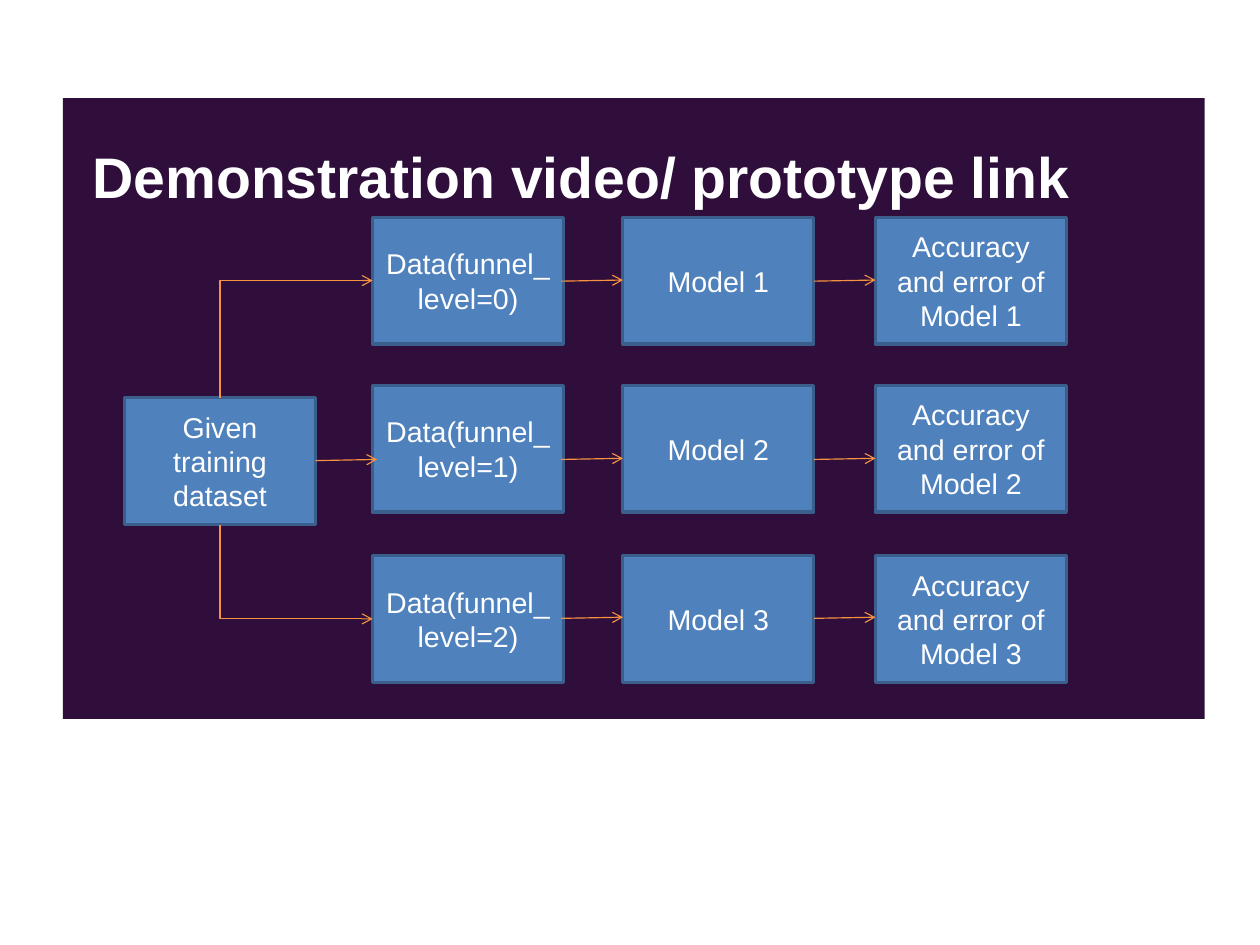
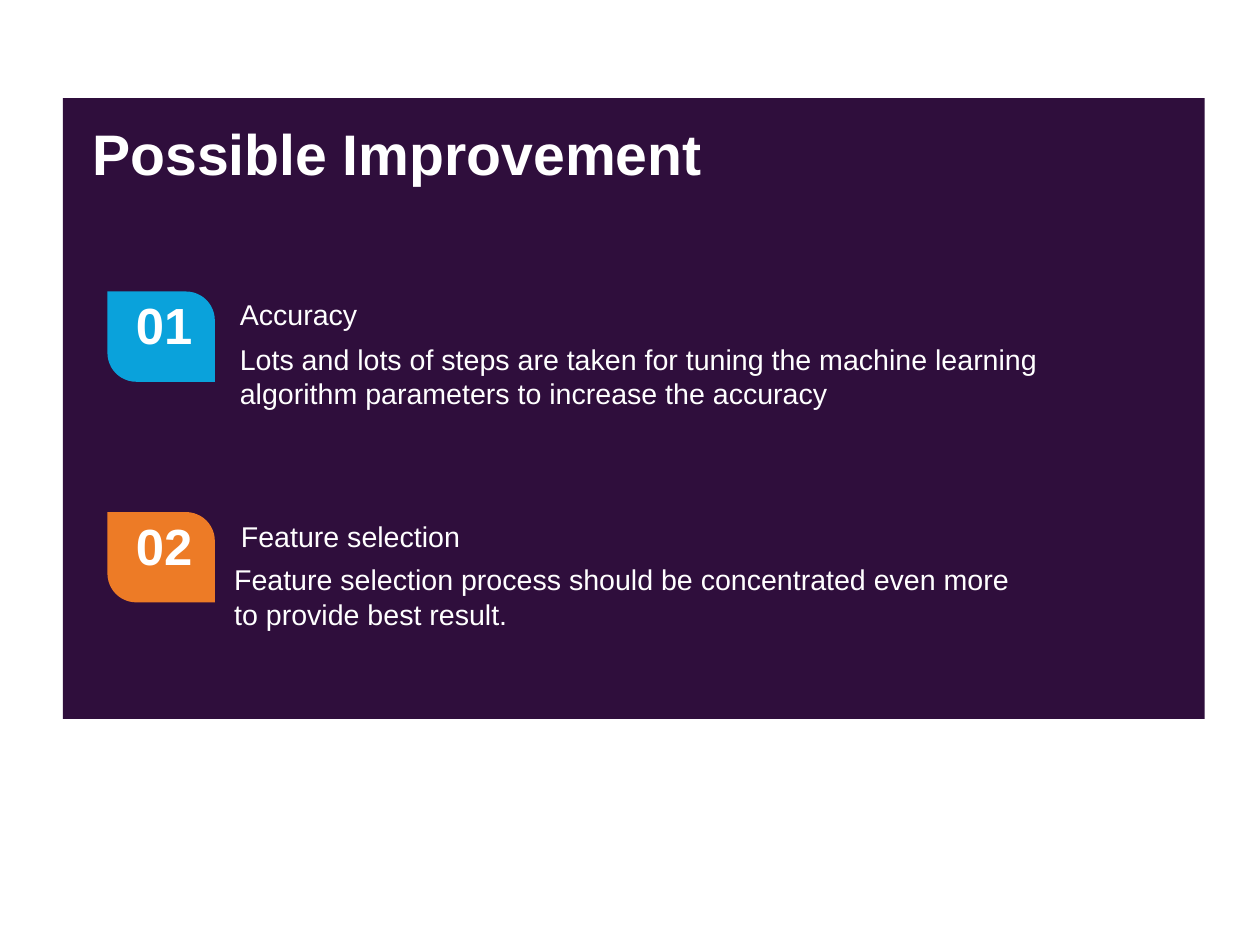
from pptx import Presentation
from pptx.dml.color import RGBColor
from pptx.enum import shapes, text
from pptx.oxml.ns import qn
from pptx.util import Cm, Inches, Pt
from lxml import etree

FLOW = "Demonstration video/ prototype link"
ROOT = "Given training dataset"
GRID = [
    ("Data(funnel_level=0)", "Model 1", "Accuracy and error of Model 1"),
    ("Data(funnel_level=1)", "Model 2", "Accuracy and error of Model 2"),
    ("Data(funnel_level=2)", "Model 3", "Accuracy and error of Model 3"),
]
NEXT = "Possible Improvement"
WHITE = RGBColor(0xFF, 0xFF, 0xFF)
PLUM = RGBColor(0x2F, 0x0E, 0x3C)
BLUE = RGBColor(0x4F, 0x81, 0xBD)
NAVY = RGBColor(0x3A, 0x5F, 0x8C)
AMBER = RGBColor(0xF6, 0x92, 0x40)
CYAN = RGBColor(0x0A, 0xA2, 0xDB)
RUST = RGBColor(0xED, 0x7B, 0x26)
STEPS = [
    ("01", CYAN, "Accuracy", 2.0,
     "Lots and lots of steps are taken for tuning the machine learning "
     "algorithm parameters to increase the accuracy", 2.0, 7.52),
    ("02", RUST, "Feature selection", 2.01,
     "Feature selection process should be concentrated even more "
     "to provide best result.", 1.95, 7.02),
]

FONT = "Arial"
WIDE, HIGH = Cm(28), Cm(21)
BOX_W, BOX_H = 1.67, 1.11
COLS = [3.26, 5.45, 7.66]
ROWS = [1.9, 3.37, 4.86]
LANES = [2.46, 4.02, 5.41]
GAP = 0.54
TOP, STEP = 2.55, 1.93
KIND = shapes.MSO_SHAPE

deck = Presentation()
deck.slide_width, deck.slide_height = WIDE, HIGH


def write(shape, words, size, bold=False, align=text.PP_ALIGN.LEFT,
          anchor=text.MSO_ANCHOR.TOP):
    frame = shape.text_frame
    frame.word_wrap = True
    frame.vertical_anchor = anchor
    line = frame.paragraphs[0]
    line.alignment = align
    run = line.add_run()
    run.text = words
    run.font.name, run.font.size, run.font.bold = FONT, Pt(size), bold
    run.font.color.rgb = WHITE


def block(page, kind, area, fill, edge=None):
    shape = page.shapes.add_shape(kind, *map(Inches, area))
    shape.shadow.inherit = False
    shape.fill.solid()
    shape.fill.fore_color.rgb = fill
    if edge is None:
        shape.line.fill.background()
    else:
        shape.line.color.rgb = edge
        shape.line.width = Pt(2)
    return shape


def label(page, area, words, size=18, bold=False):
    write(page.shapes.add_textbox(*map(Inches, area)), words, size, bold)


def start(title, top, width, high):
    page = deck.slides.add_slide(deck.slide_layouts[6])
    block(page, KIND.RECTANGLE, (0.55, 0.86, 9.99, 5.43), PLUM)
    label(page, (0.71, top, width, high), title, 36, True)
    return page


def node(page, left, top, words):
    shape = block(page, KIND.RECTANGLE, (left, top, BOX_W, BOX_H), BLUE, NAVY)
    write(shape, words, 18, False, text.PP_ALIGN.CENTER, text.MSO_ANCHOR.MIDDLE)
    return shape


def wire(page, kind, ends, tip):
    link = page.shapes.add_connector(kind, *map(Inches, ends))
    link.line.color.rgb = AMBER
    link.line.width = Pt(0.75)
    etree.SubElement(link.line._get_or_add_ln(), qn("a:" + tip)).set("type", "arrow")
    etree.SubElement(link._element.spPr, qn("a:effectLst"))
    return link


def arrow(page, tip, lane):
    wire(page, shapes.MSO_CONNECTOR.STRAIGHT,
         (tip - GAP, lane, tip, lane - 0.01), "tailEnd")


def bend(page, box, root, site):
    link = wire(page, shapes.MSO_CONNECTOR.ELBOW, (0, 0, 1, 1), "headEnd")
    link.begin_connect(box, 1)
    link.end_connect(root, site)
    link._element.spPr.find(qn("a:prstGeom")).set("prst", "bentConnector2")


flow = start(FLOW, 1.19, 9.37, 2.04)
root = node(flow, 1.09, 3.48, ROOT)
heads = []
for top, lane, names in zip(ROWS, LANES, GRID):
    boxes = [node(flow, left, top, name) for left, name in zip(COLS, names)]
    heads.append(boxes[0])
    for left in COLS[1:]:
        arrow(flow, left, lane)
arrow(flow, 3.3, 4.03)
bend(flow, heads[0], root, 0)
bend(flow, heads[2], root, 2)

plan = start(NEXT, 0.99, 8.49, 1.29)
for i, (mark, fill, head, x, body, left, width) in enumerate(STEPS):
    top = TOP + i * STEP
    badge = block(plan, KIND.ROUND_2_DIAG_RECTANGLE, (0.94, top, 0.94, 0.79), fill)
    badge.adjustments[0], badge.adjustments[1] = 0, 0.32
    label(plan, (1.09, top - 0.03, 0.85, 0.59), mark, 32, True)
    label(plan, (x, top + 0.01 * i, 4.04, 0.36), head)
    label(plan, (left, top + 0.39, width, 0.49), body)

deck.save("out.pptx")
